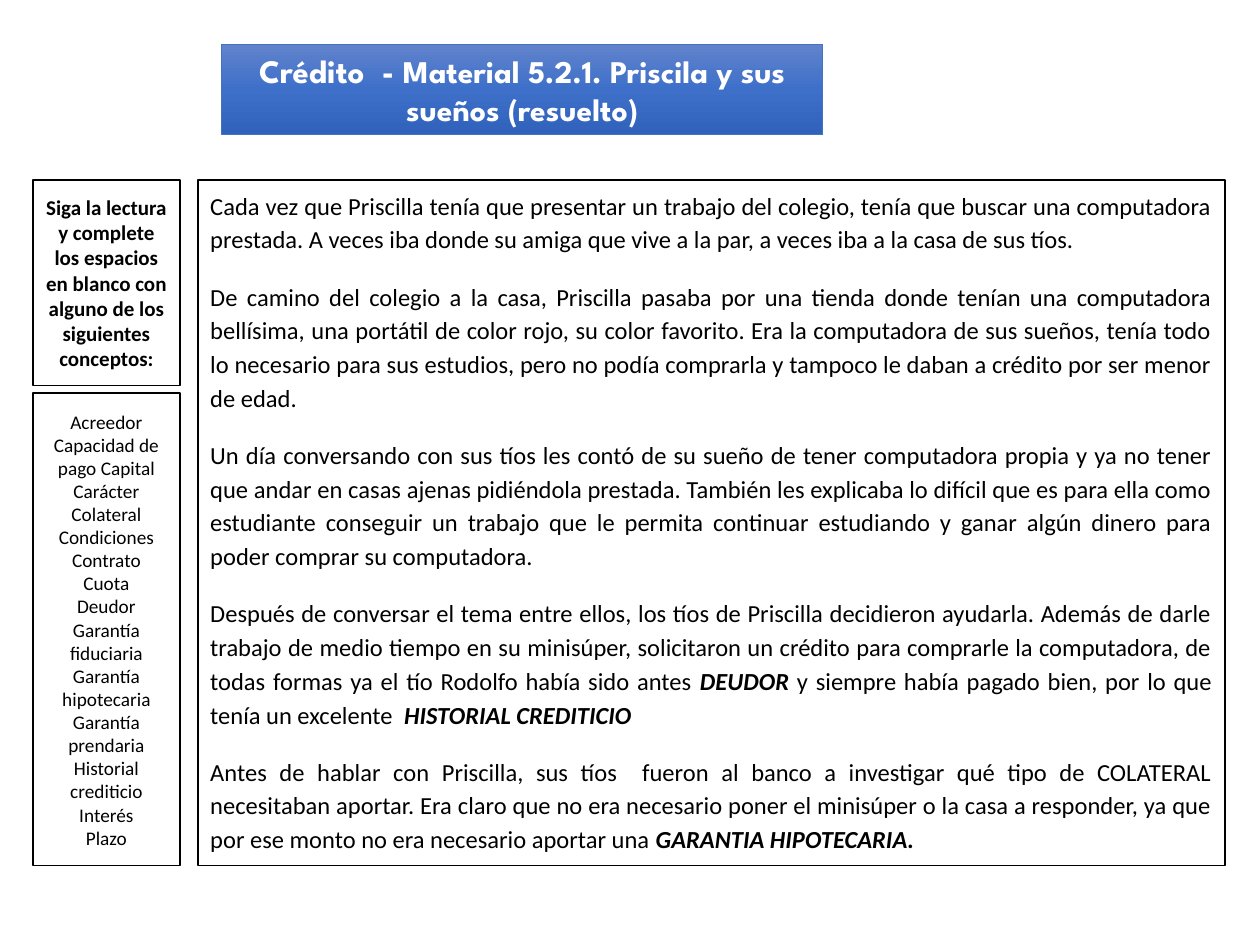
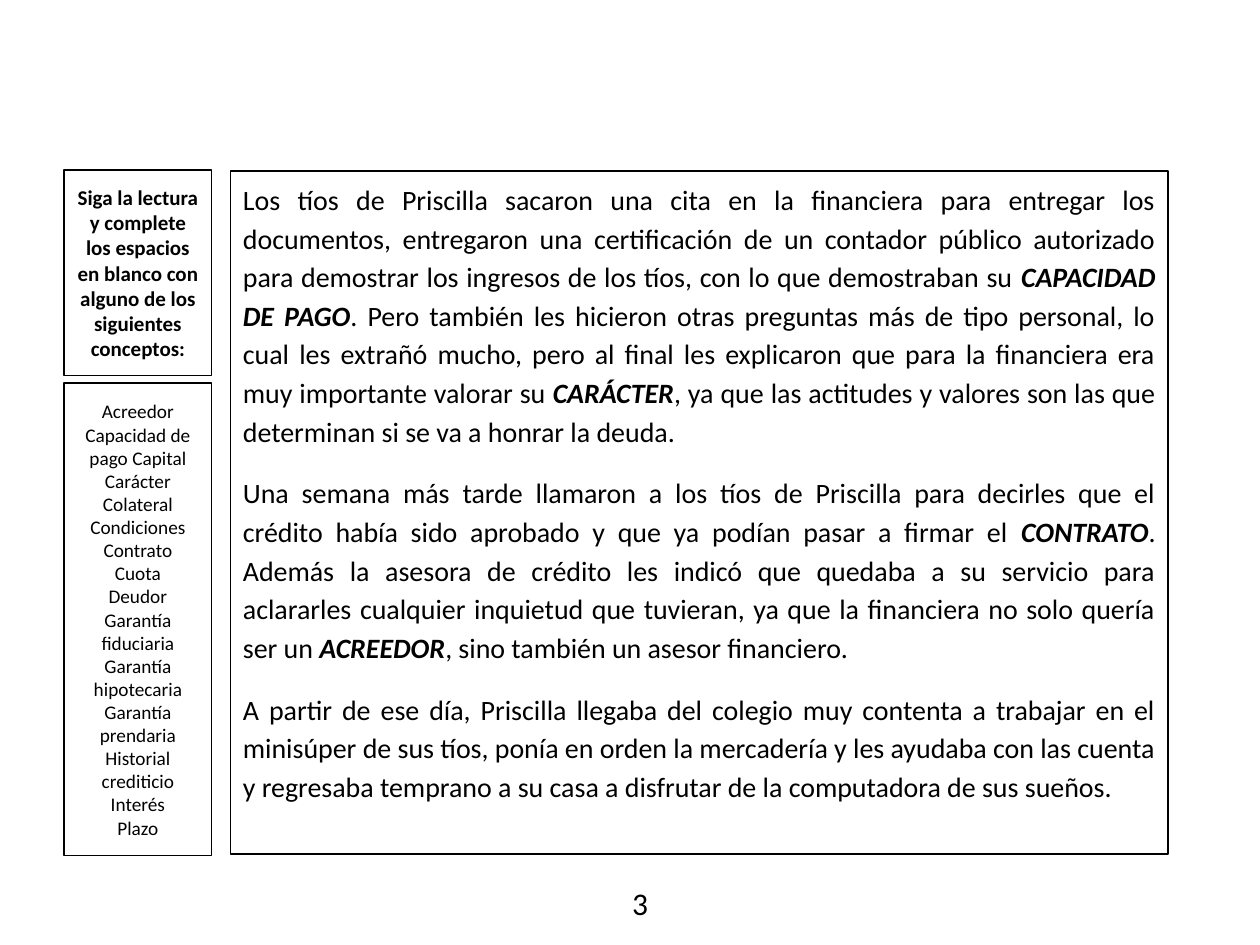
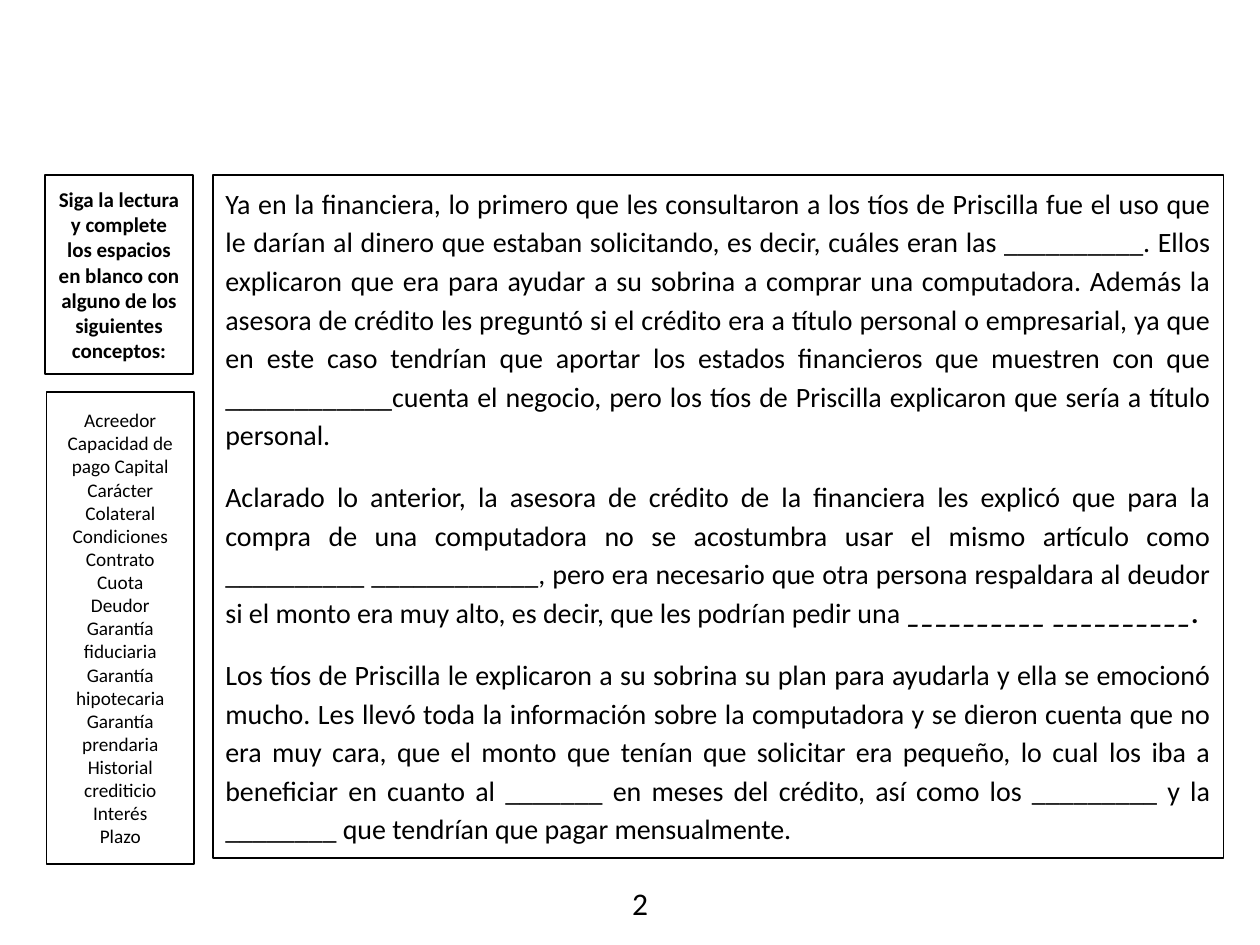
from copy import deepcopy

from pptx import Presentation
from pptx.dml.color import RGBColor
from pptx.enum.shapes import MSO_SHAPE
from pptx.enum.text import MSO_ANCHOR, MSO_AUTO_SIZE, PP_ALIGN
from pptx.oxml.ns import qn
from pptx.util import Inches, Pt

# Shared look
BLACK = RGBColor(0x00, 0x00, 0x00)
WHITE = RGBColor(0xFF, 0xFF, 0xFF)
TITLE_EDGE = RGBColor(0x44, 0x72, 0xC4)
TITLE_GRADIENT = [
    (0, RGBColor(0x61, 0x83, 0xCB)),
    (0.5, RGBColor(0x3E, 0x70, 0xCA)),
    (1, RGBColor(0x30, 0x62, 0xBB)),
]
BODY_FONT = "Calibri"
TITLE_FONT = "League Spartan"
RECTANGLE, OVAL = MSO_SHAPE.RECTANGLE, MSO_SHAPE.OVAL
CENTER, JUSTIFY = PP_ALIGN.CENTER, PP_ALIGN.JUSTIFY
TOP, MIDDLE = MSO_ANCHOR.TOP, MSO_ANCHOR.MIDDLE
GROW = MSO_AUTO_SIZE.SHAPE_TO_FIT_TEXT
SIDEBAR_WIDTH = 1.17
CONCEPTS_HEIGHT = 3.75

# Content shared by the sidebars
INSTRUCTION = ("Siga la lectura y complete los espacios en blanco con alguno "
               "de los siguientes conceptos:")
CONCEPTS = [
    "Acreedor Capacidad de pago Capital",
    "Carácter",
    "Colateral Condiciones Contrato",
    "Cuota",
    "Deudor",
    "Garantía fiduciaria Garantía hipotecaria Garantía prendaria "
    "Historial crediticio Interés",
    "Plazo",
]

# Readings: answers stand between asterisks
DREAM_READING = [
    "Cada vez que Priscilla tenía que presentar un trabajo del colegio, tenía "
    "que buscar una computadora prestada. A veces iba donde su amiga que vive "
    "a la par, a veces iba a la casa de sus tíos.",
    "De camino del colegio a la casa, Priscilla pasaba por una tienda donde "
    "tenían una computadora bellísima, una portátil de color rojo, su color "
    "favorito. Era la computadora de sus sueños, tenía todo lo necesario para "
    "sus estudios, pero no podía comprarla y tampoco le daban a crédito por "
    "ser menor de edad.",
    "Un día conversando con sus tíos les contó de su sueño de tener "
    "computadora propia y ya no tener que andar en casas ajenas pidiéndola "
    "prestada. También les explicaba lo difícil que es para ella como "
    "estudiante conseguir un trabajo que le permita continuar estudiando y "
    "ganar algún dinero para poder comprar su computadora.",
    "Después de conversar el tema entre ellos, los tíos de Priscilla "
    "decidieron ayudarla. Además de darle trabajo de medio tiempo en su "
    "minisúper, solicitaron un crédito para comprarle la computadora, de "
    "todas formas ya el tío Rodolfo había sido antes *DEUDOR *y siempre había "
    "pagado bien, por lo que tenía un excelente  *HISTORIAL CREDITICIO*",
    "Antes de hablar con Priscilla, sus tíos  fueron al banco a investigar "
    "qué tipo de COLATERAL necesitaban aportar. Era claro que no era "
    "necesario poner el minisúper o la casa a responder, ya que por ese monto "
    "no era necesario aportar una *GARANTIA HIPOTECARIA.*",
]
CONTRACT_READING = [
    "Los tíos de Priscilla sacaron una cita en la financiera para entregar "
    "los documentos, entregaron una certificación de un contador público "
    "autorizado para demostrar los ingresos de los tíos, con lo que "
    "demostraban su *CAPACIDAD DE PAGO*. Pero también les hicieron otras "
    "preguntas más de tipo personal, lo cual les extrañó mucho, pero al final "
    "les explicaron que para la financiera era muy importante valorar su "
    "*CARÁCTER*, ya que las actitudes y valores son las que determinan si se "
    "va a honrar la deuda.",
    "Una semana más tarde llamaron a los tíos de Priscilla para decirles que "
    "el crédito había sido aprobado y que ya podían pasar a firmar el "
    "*CONTRATO*. Además la asesora de crédito les indicó que quedaba a su "
    "servicio para aclararles cualquier inquietud que tuvieran, ya que la "
    "financiera no solo quería ser un* ACREEDOR*, sino también un asesor "
    "financiero. ",
    "A partir de ese día, Priscilla llegaba del colegio muy contenta a "
    "trabajar en el minisúper de sus tíos, ponía en orden la mercadería y les "
    "ayudaba con las cuenta y regresaba temprano a su casa a disfrutar de la "
    "computadora de sus sueños.",
]
LENDER_READING = [
    "Ya en la financiera, lo primero que les consultaron a los tíos de "
    "Priscilla fue el uso que le darían al dinero que estaban solicitando, es "
    "decir, cuáles eran las __________. Ellos explicaron que era para ayudar "
    "a su sobrina a comprar una computadora. Además la asesora de crédito les "
    "preguntó si el crédito era a título personal o empresarial, ya que en "
    "este caso tendrían que aportar los estados financieros que muestren con "
    "que ____________cuenta el negocio, pero los tíos de Priscilla explicaron "
    "que sería a título personal.",
    "Aclarado lo anterior, la asesora de crédito de la financiera les explicó "
    "que para la compra de una computadora no se acostumbra usar el mismo "
    "artículo como __________ ____________, pero era necesario que otra "
    "persona respaldara al deudor si el monto era muy alto, es decir, que les "
    "podrían pedir una *__________ __________.*",
    "Los tíos de Priscilla le explicaron a su sobrina su plan para ayudarla y "
    "ella se emocionó mucho. Les llevó toda la información sobre la "
    "computadora y se dieron cuenta que no era muy cara, que el monto que "
    "tenían que solicitar era pequeño, lo cual los iba a beneficiar en cuanto "
    "al _______ en meses del crédito, así como los _________ y la ________ "
    "que tendrían que pagar mensualmente.",
]


def add_panel(slide, left, top, width, height, outline=BLACK, weight=1,
              kind=RECTANGLE):
    """Add a white shape, outlined unless outline is None."""
    panel = slide.shapes.add_shape(
        kind, Inches(left), Inches(top), Inches(width), Inches(height))
    panel.shadow.inherit = False
    panel.fill.solid()
    panel.fill.fore_color.rgb = WHITE
    if outline is None:
        panel.line.fill.background()
    else:
        panel.line.color.rgb = outline
        panel.line.width = Pt(weight)
    return panel


def write(panel, paragraphs, size, font=BODY_FONT, color=BLACK, bold=False,
          align=CENTER, anchor=MIDDLE, grow=False, line_spacing=None,
          space_after=None):
    """Write paragraphs; text between asterisks is bold and italic."""
    frame = panel.text_frame
    frame.word_wrap = True
    frame.vertical_anchor = anchor
    if grow:
        frame.auto_size = GROW
    for number, text in enumerate(paragraphs):
        paragraph = frame.add_paragraph() if number else frame.paragraphs[0]
        paragraph.alignment = align
        paragraph.line_spacing = line_spacing
        if space_after is not None:
            paragraph.space_after = Pt(space_after)
        for part, words in enumerate(text.split("*")):
            if not words:
                continue
            answer = part % 2 == 1
            run = paragraph.add_run()
            run.text = words
            run.font.name = font
            run.font.size = Pt(size)
            run.font.bold = bold or answer
            run.font.italic = answer
            run.font.color.rgb = color


def add_title(slide, lead, rest):
    banner = add_panel(slide, 1.76, 0.35, 4.77, 0.72, TITLE_EDGE, 0.5)
    banner.fill.gradient()
    banner.fill.gradient_angle = 270
    # A new gradient has two stops; a third goes between them
    stops = banner._element.spPr.find(qn("a:gradFill")).find(qn("a:gsLst"))
    stops.insert(1, deepcopy(stops[0]))
    for stop, (position, color) in zip(banner.fill.gradient_stops,
                                       TITLE_GRADIENT):
        stop.position = position
        stop.color.rgb = color
    write(banner, [lead + "*" + rest], 18, font=TITLE_FONT, color=WHITE,
          bold=True, anchor=TOP, grow=True)
    lead_run, rest_run = banner.text_frame.paragraphs[0].runs
    lead_run.font.size = Pt(18.7)
    rest_run.font.italic = False


def add_reading(slide, paragraphs, left, top, width, height, size):
    panel = add_panel(slide, left, top, width, height)
    write(panel, paragraphs, size, align=JUSTIFY, anchor=TOP, grow=True,
          line_spacing=1.15, space_after=13.3)


def add_sidebar(slide, left, top, concepts_left, concepts_top, height=1.63):
    concepts = add_panel(slide, concepts_left, concepts_top, SIDEBAR_WIDTH,
                         CONCEPTS_HEIGHT)
    write(concepts, CONCEPTS, 11)
    instruction = add_panel(slide, left, top, SIDEBAR_WIDTH, height)
    write(instruction, [INSTRUCTION], 12, bold=True)


def add_page_number(slide, number):
    badge = add_panel(slide, 4.77, 6.93, 0.62, 0.48, outline=None, kind=OVAL)
    write(badge, [str(number)], 18)


def main():
    deck = Presentation()
    deck.slide_width, deck.slide_height = Inches(10), Inches(7.5)
    blank = deck.slide_layouts[6]

    # Priscilla's dream
    dream = deck.slides.add_slide(blank)
    add_reading(dream, DREAM_READING, 1.57, 1.43, 8.15, 5.44, size=14)
    add_sidebar(dream, 0.26, 1.43, 0.26, 3.12)
    add_title(dream, "Crédito  - ",
              "Material 5.2.1. Priscila y sus sueños (resuelto)")

    # Signing the contract
    contract = deck.slides.add_slide(blank)
    add_reading(contract, CONTRACT_READING, 1.83, 1.36, 7.44, 5.42, size=16)
    add_sidebar(contract, 0.51, 1.35, 0.51, 3.04)
    add_page_number(contract, 3)

    # Visiting the lender
    lender = deck.slides.add_slide(blank)
    add_reading(lender, LENDER_READING, 1.69, 1.39, 8.02, 5.42, size=16)
    add_sidebar(lender, 0.36, 1.39, 0.37, 3.11, height=1.58)
    add_page_number(lender, 2)

    deck.save("out.pptx")


main()
